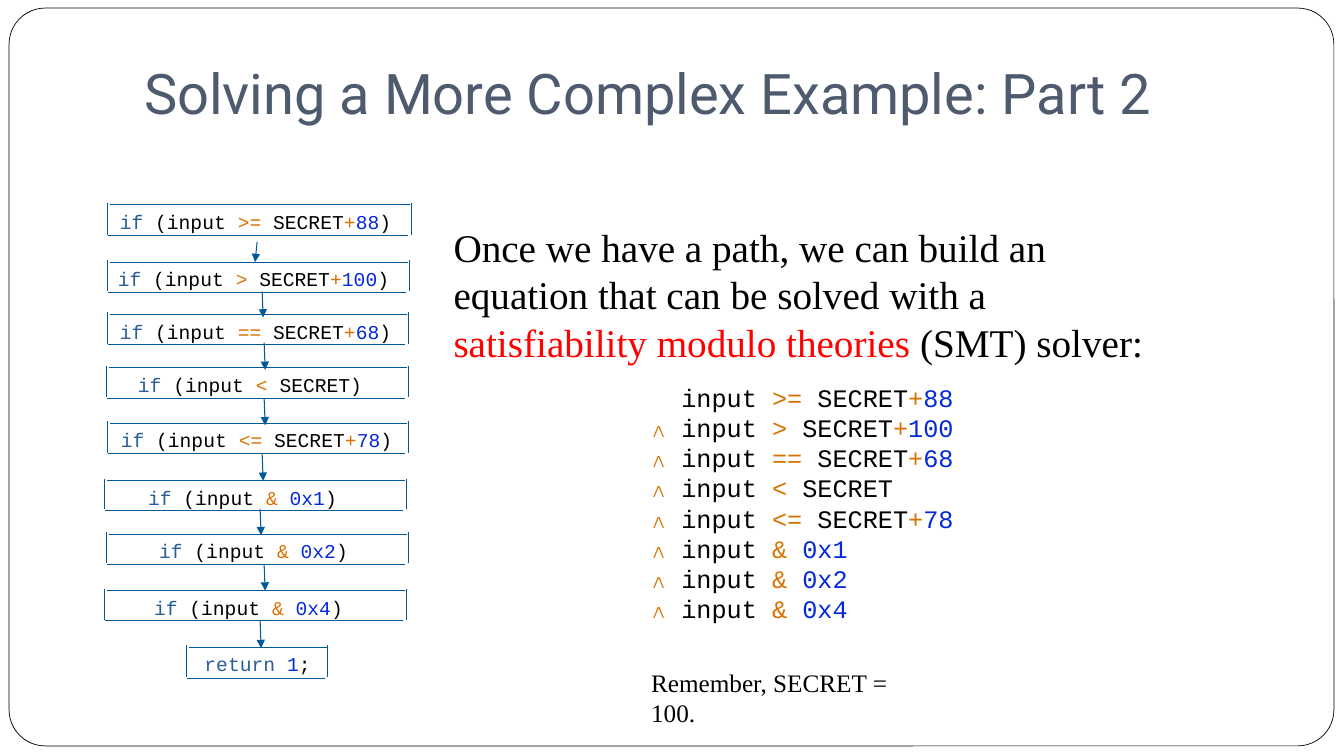
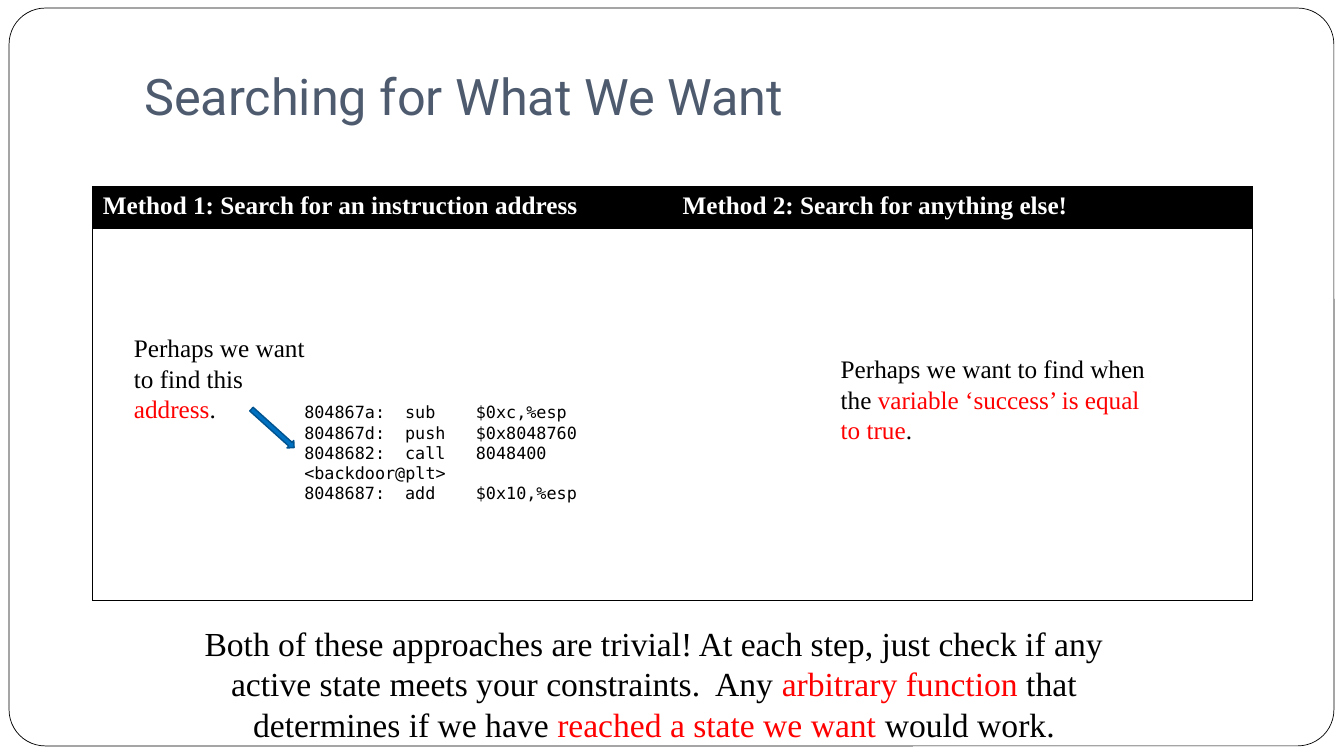
from dataclasses import dataclass

from lxml import etree
from pptx import Presentation
from pptx.dml.color import RGBColor
from pptx.enum.shapes import MSO_CONNECTOR, MSO_SHAPE
from pptx.enum.text import MSO_ANCHOR, MSO_AUTO_SIZE, PP_ALIGN
from pptx.oxml.ns import qn
from pptx.util import Emu, Pt

STRAIGHT = MSO_CONNECTOR.STRAIGHT
ROUNDED, RIGHT_ARROW = MSO_SHAPE.ROUNDED_RECTANGLE, MSO_SHAPE.RIGHT_ARROW
BOTTOM, NO_FIT = MSO_ANCHOR.BOTTOM, MSO_AUTO_SIZE.NONE
LEFT, CENTER = PP_ALIGN.LEFT, PP_ALIGN.CENTER
PX = 9144
PLAIN_TABLE = "{2D5ABB26-0587-4C30-8999-92F81FD0307C}"


@dataclass(frozen=True)
class Theme:
    black: str = "000000"
    white: str = "FFFFFF"
    title: str = "4E5B6F"
    keyword: str = "295E99"
    operator: str = "D97100"
    number: str = "0329D8"
    accent: str = "FF0000"
    flow: str = "005A9A"
    pointer: str = "0070C0"
    pointer_edge: str = "00538E"
    heading_font: str = "Roboto"
    body_font: str = "Times New Roman"
    code_font: str = "Courier New"
    listing_font: str = "DejaVu Sans Mono"
    long_title_size: int = 40
    title_size: int = 36
    lead_size: int = 28
    closing_size: int = 24
    body_size: int = 18
    code_size: int = 14
    listing_size: int = 12


theme = Theme()


def write(frame, paragraphs, font, size, align=LEFT, bold=False):
    frame.word_wrap = True
    for index, spans in enumerate(paragraphs):
        para = frame.add_paragraph() if index else frame.paragraphs[0]
        para.alignment = align
        for text, color in spans:
            span = para.add_run()
            span.text = text
            span.font.name = font
            span.font.size = Pt(size)
            span.font.bold = bold
            span.font.color.rgb = RGBColor.from_string(color)


def draw_line(shapes, x1, y1, x2, y2, arrow=False):
    line = shapes.add_connector(STRAIGHT, *(Emu(v * PX) for v in (x1, y1, x2, y2)))
    line.line.color.rgb = RGBColor.from_string(theme.flow)
    line.line.width = Pt(0.75)
    properties = line._element.spPr
    if arrow:
        etree.SubElement(properties.find(qn("a:ln")), qn("a:tailEnd"), type="triangle")
    etree.SubElement(properties, qn("a:effectLst"))


deck = Presentation()
deck.slide_width, deck.slide_height = Emu(1333 * PX), Emu(750 * PX)
layout = deck.slide_layouts[5]

heading = layout.placeholders[0]
heading.left, heading.top, heading.width, heading.height = (
    Emu(v * PX) for v in (133, 13, 1133, 122)
)
heading.text_frame.vertical_anchor = BOTTOM
heading.text_frame.auto_size = NO_FIT
heading.text_frame.margin_bottom = Emu(10 * PX)

pages = []
for text, size in (
    ("Solving a More Complex Example: Part 2", theme.long_title_size),
    ("Searching for What We Want", theme.title_size),
):
    page = deck.slides.add_slide(layout)
    write(page.shapes.title.text_frame, [[(text, theme.title)]], theme.heading_font, size)
    pages.append(page)
solving, searching = pages

border = solving.shapes.add_shape(ROUNDED, *(Emu(v * PX) for v in (9, 8, 1314, 732)))
border.adjustments[0] = 0.049
border.shadow.inherit = False
border.fill.solid()
border.fill.fore_color.rgb = RGBColor.from_string(theme.white)
border.line.color.rgb = RGBColor.from_string(theme.black)
border.line.width = Pt(0.5)
layout.shapes._spTree.insert(2, border._element)

token_colors = (theme.operator, theme.black, theme.operator, theme.number)
conditions = [
    [(text, color) for text, color in zip(tokens, token_colors) if text]
    for tokens in (
        (">=", " SECRET", "+", "88"),
        (">", " SECRET", "+", "100"),
        ("==", " SECRET", "+", "68"),
        ("<", " SECRET", "", ""),
        ("<=", " SECRET", "+", "78"),
        ("&", "", "", " 0x1"),
        ("&", "", "", " 0x2"),
        ("&", "", "", " 0x4"),
    )
]
steps = [
    [("if", theme.keyword), (" (input ", theme.black), *condition, (")", theme.black)]
    for condition in conditions
]
steps.append([("return ", theme.keyword), ("1", theme.number), (";", theme.black)])

places = (
    (107, 203, 301, 31, 109),
    (107, 260, 299, 30, 107),
    (107, 312, 298, 30, 109),
    (106, 365, 299, 30, 127),
    (107, 420, 298, 30, 110),
    (104, 477, 299, 29, 137),
    (106, 530, 299, 30, 148),
    (104, 586, 299, 30, 143),
    (185, 642, 140, 31, 193),
)
flow = solving.shapes.add_group_shape().shapes
for spans, (left, top, width, height, text_left) in zip(steps, places):
    right, bottom = left + width, top + height
    box = flow.add_textbox(*(Emu(v * PX) for v in (text_left, top, width, 37)))
    write(box.text_frame, [spans], theme.code_font, theme.code_size)
    draw_line(flow, left + 2, top, right - 1, top)
    draw_line(flow, left, bottom, right - 3, bottom)
    for x in (left, right):
        draw_line(flow, x, top - 2, x, bottom - 1)
for x1, y1, x2, y2 in (
    (255, 240, 253, 260),
    (260, 289, 261, 315),
    (262, 340, 263, 367),
    (262, 395, 263, 422),
    (260, 450, 261, 477),
    (258, 505, 259, 531),
    (262, 560, 263, 586),
    (258, 616, 259, 643),
):
    draw_line(flow, x1, y1, x2, y2, arrow=True)

formula = [
    [("∧ " if index else "  ", theme.operator), ("input ", theme.black), *condition]
    for index, condition in enumerate(conditions)
]
lead = [
    ("Once we have a path, we can build an equation that can be solved with a ", theme.black),
    ("satisfiability modulo theories ", theme.accent),
    ("(SMT) solver:", theme.black),
]
reminder = [("Remember, SECRET = 100.", theme.black)]
instructions = [
    [(text, theme.black)]
    for text in (
        "804867a:\tsub    $0xc,%esp",
        "804867d:\tpush   $0x8048760",
        "8048682:\tcall   8048400 <backdoor@plt>",
        "8048687:\tadd    $0x10,%esp",
    )
]
address = [
    ("Perhaps we want to find this ", theme.black),
    ("address", theme.accent),
    (".", theme.black),
]
variable = [
    ("Perhaps we want to find when the ", theme.black),
    ("variable ‘success’ is equal to true", theme.accent),
    (".", theme.black),
]
closing = [
    (
        "Both of these approaches are trivial! At each step, just check if any "
        "active state meets your constraints.  Any ",
        theme.black,
    ),
    ("arbitrary function ", theme.accent),
    ("that determines if we have ", theme.black),
    ("reached a state we want ", theme.accent),
    ("would work.", theme.black),
]

table = searching.shapes.add_table(2, 2, *(Emu(v * PX) for v in (92, 185, 1150, 411))).table
table._tbl.tblPr.find(qn("a:tableStyleId")).text = PLAIN_TABLE
table.rows[0].height, table.rows[1].height = Emu(42 * PX), Emu(369 * PX)
for row, edges in enumerate((("T",), ("T", "B"))):
    for column, side in enumerate("LR"):
        cell = table.cell(row, column)
        properties = cell._tc.get_or_add_tcPr()
        for edge in (side, *edges):
            line = etree.SubElement(properties, qn("a:ln" + edge), w=str(Pt(0.75)))
            fill = etree.SubElement(line, qn("a:solidFill"))
            etree.SubElement(fill, qn("a:srgbClr"), val=theme.black)
        if row:
            cell.fill.background()
        else:
            cell.fill.solid()
            cell.fill.fore_color.rgb = RGBColor.from_string(theme.black)
methods = ("Method 1: Search for an instruction address", "Method 2: Search for anything else!")
for column, text in enumerate(methods):
    frame = table.cell(0, column).text_frame
    write(frame, [[(text, theme.white)]], theme.body_font, theme.body_size, bold=True)

for page, place, paragraphs, font, size, align in (
    (solving, (440, 217, 727, 151), [lead], theme.body_font, theme.lead_size, LEFT),
    (solving, (636, 374, 337, 283), formula, theme.code_font, theme.body_size, LEFT),
    (solving, (636, 657, 288, 40), [reminder], theme.body_font, theme.body_size, LEFT),
    (searching, (292, 394, 410, 91), instructions, theme.listing_font, theme.listing_size, LEFT),
    (searching, (123, 325, 191, 101), [address], theme.body_font, theme.body_size, LEFT),
    (searching, (824, 346, 324, 101), [variable], theme.body_font, theme.body_size, LEFT),
    (searching, (153, 613, 991, 172), [closing], theme.body_font, theme.closing_size, CENTER),
):
    box = page.shapes.add_textbox(*(Emu(v * PX) for v in place))
    write(box.text_frame, paragraphs, font, size, align)

pointer = searching.shapes.add_shape(RIGHT_ARROW, *(Emu(v * PX) for v in (242, 420, 57, 10)))
pointer.rotation = 42
pointer.shadow.inherit = False
pointer.fill.solid()
pointer.fill.fore_color.rgb = RGBColor.from_string(theme.pointer)
pointer.line.color.rgb = RGBColor.from_string(theme.pointer_edge)
pointer.line.width = Pt(1)

deck.save("out.pptx")
